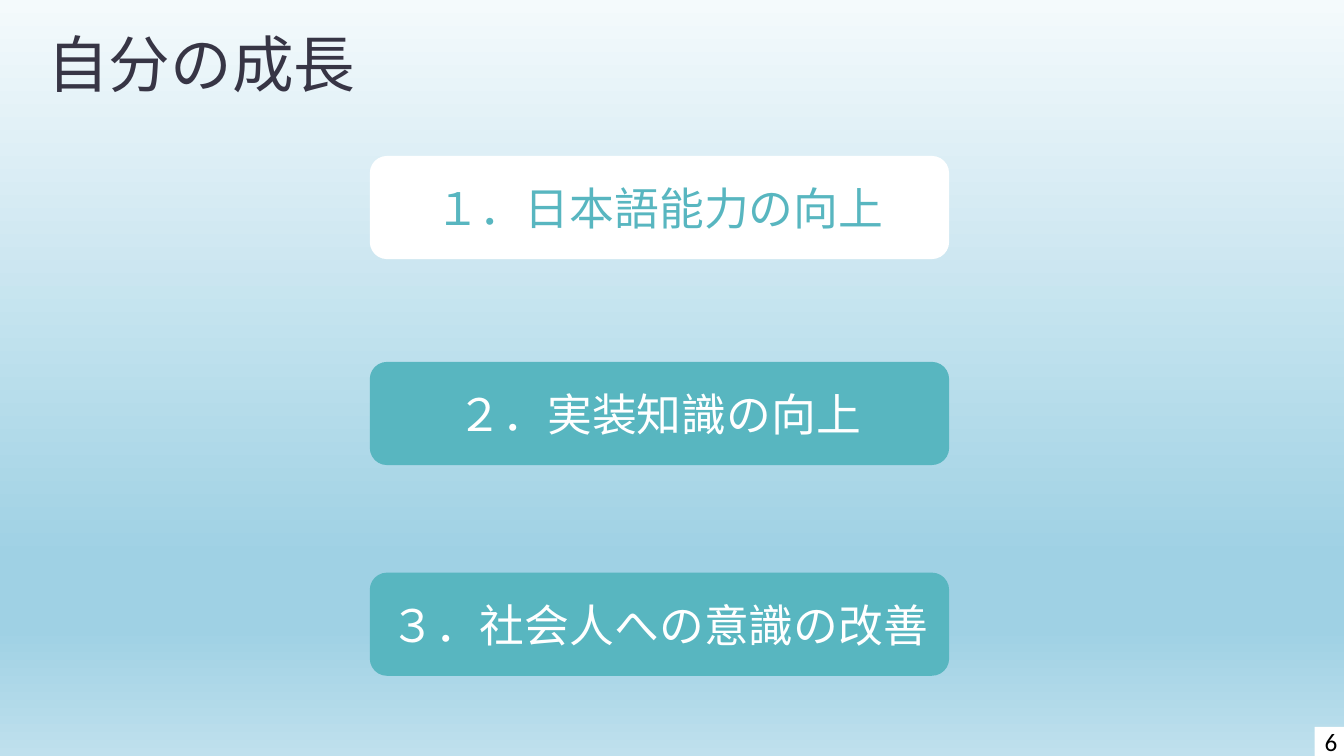
from copy import deepcopy
from dataclasses import dataclass

from pptx import Presentation
from pptx.dml.color import RGBColor
from pptx.enum.shapes import MSO_SHAPE
from pptx.enum.text import MSO_ANCHOR, MSO_AUTO_SIZE, PP_ALIGN
from pptx.oxml.ns import qn
from pptx.util import Cm, Pt


@dataclass(frozen=True)
class Theme:
    title_font: str = "Noto Sans CJK JP"
    body_font: str = "Calibri"
    title_size: int = 44
    card_size: int = 32
    number_size: int = 18
    ink: str = "373545"
    teal: str = "58B6C0"
    white: str = "FFFFFF"
    black: str = "000000"
    sky: tuple = ((0, "F4FAFC"), (74, "9FD1E4"), (83, "9FD1E4"), (100, "BFE0ED"))


THEME = Theme()
CARD_LEFT, CARD_WIDTH, CARD_HEIGHT = Cm(9.32), Cm(14.6), Cm(2.6)
# top in cm, text, fill, text colour
CARDS = (
    (3.93, "１．日本語能力の向上", THEME.white, THEME.teal),
    (9.12, "２．実装知識の向上", THEME.teal, THEME.white),
    (14.43, "３．社会人への意識の改善", THEME.teal, THEME.white),
)


def paint_background(page):
    """Fill the page with the vertical sky gradient."""
    fill = page.background.fill
    fill.gradient()
    fill.gradient_angle = 270
    stop_list = page.background._cSld.find(".//" + qn("a:gsLst"))
    while len(stop_list) < len(THEME.sky):
        stop_list.append(deepcopy(stop_list[0]))
    for stop, (percent, colour) in zip(fill.gradient_stops, THEME.sky):
        stop.position = percent / 100
        stop.color.rgb = RGBColor.from_string(colour)


def write_text(shape, text, font, size, colour, align):
    para = shape.text_frame.paragraphs[0]
    para.text = text
    para.alignment = align
    for span in para.runs:
        span.font.name = font
        span.font.size = Pt(size)
        span.font.color.rgb = RGBColor.from_string(colour)
    return para


def place_title(page, text):
    title = page.shapes.title
    title.left, title.top, title.width, title.height = Cm(0.94), Cm(0.66), Cm(8.4), Cm(1.96)
    frame = title.text_frame
    frame.auto_size = MSO_AUTO_SIZE.NONE
    frame.word_wrap = False
    frame.vertical_anchor = MSO_ANCHOR.BOTTOM
    para = write_text(title, text, THEME.title_font, THEME.title_size, THEME.ink, PP_ALIGN.LEFT)
    para.line_spacing = 0.8


def add_label(page, kind, position, text, size, fill, colour):
    """Add a borderless filled shape with centred text."""
    box = page.shapes.add_shape(kind, *position)
    box.shadow.inherit = False
    box.fill.solid()
    box.fill.fore_color.rgb = RGBColor.from_string(fill)
    box.line.fill.background()
    box.text_frame.vertical_anchor = MSO_ANCHOR.MIDDLE
    write_text(box, text, THEME.body_font, size, colour, PP_ALIGN.CENTER)


def main():
    deck = Presentation()
    deck.slide_width, deck.slide_height = Cm(33.87), Cm(19.05)
    page = deck.slides.add_slide(deck.slide_layouts[5])
    paint_background(page)
    place_title(page, "自分の成長")
    for top, text, fill, colour in CARDS:
        position = (CARD_LEFT, Cm(top), CARD_WIDTH, CARD_HEIGHT)
        add_label(page, MSO_SHAPE.ROUNDED_RECTANGLE, position, text, THEME.card_size, fill, colour)
    corner = (Cm(33.13), Cm(18.32), Cm(0.78), Cm(0.73))
    add_label(page, MSO_SHAPE.RECTANGLE, corner, "6", THEME.number_size, THEME.white, THEME.black)
    deck.save("out.pptx")


if __name__ == "__main__":
    main()
